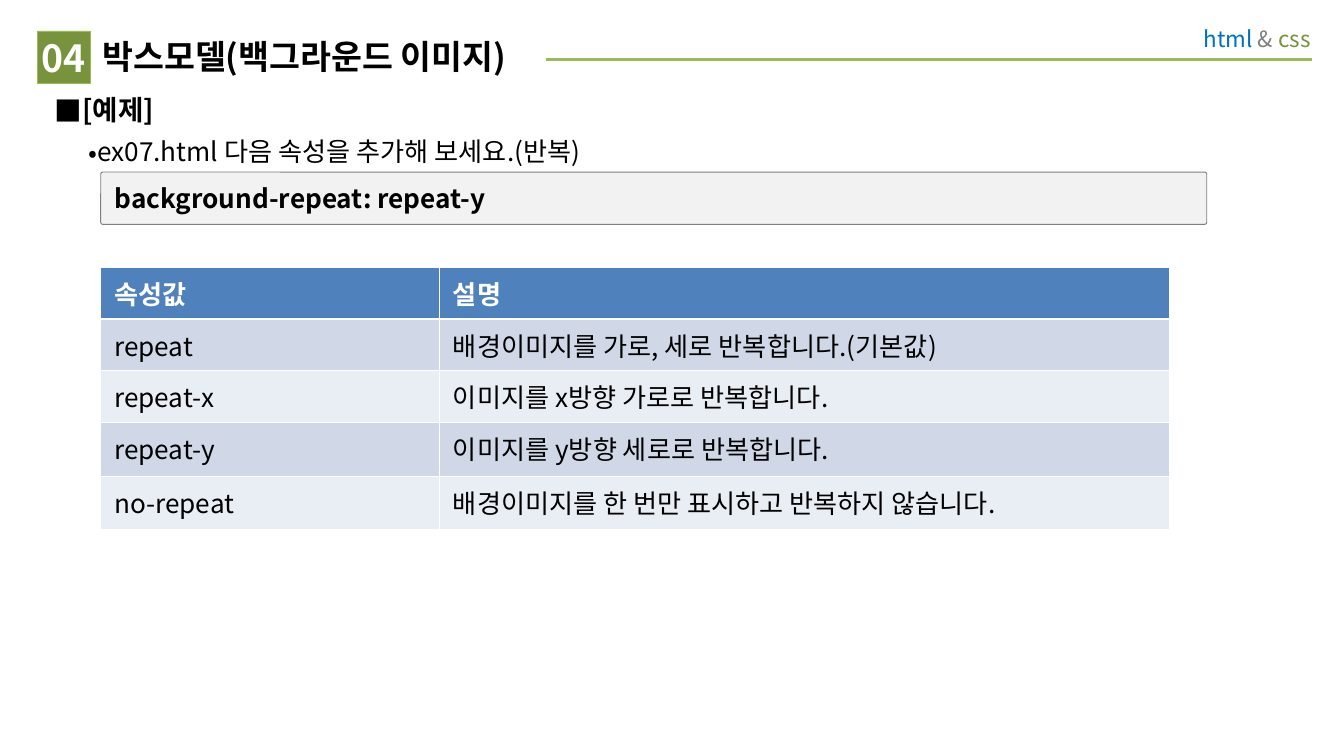
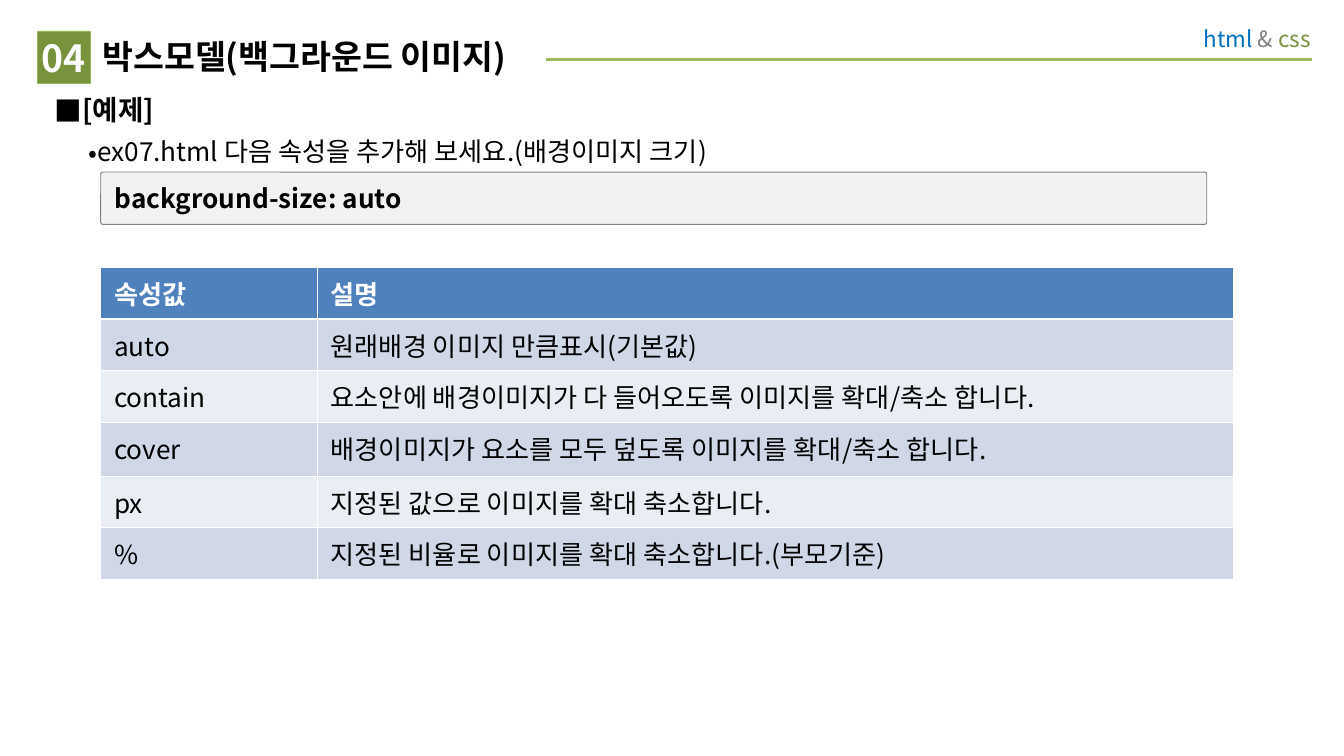
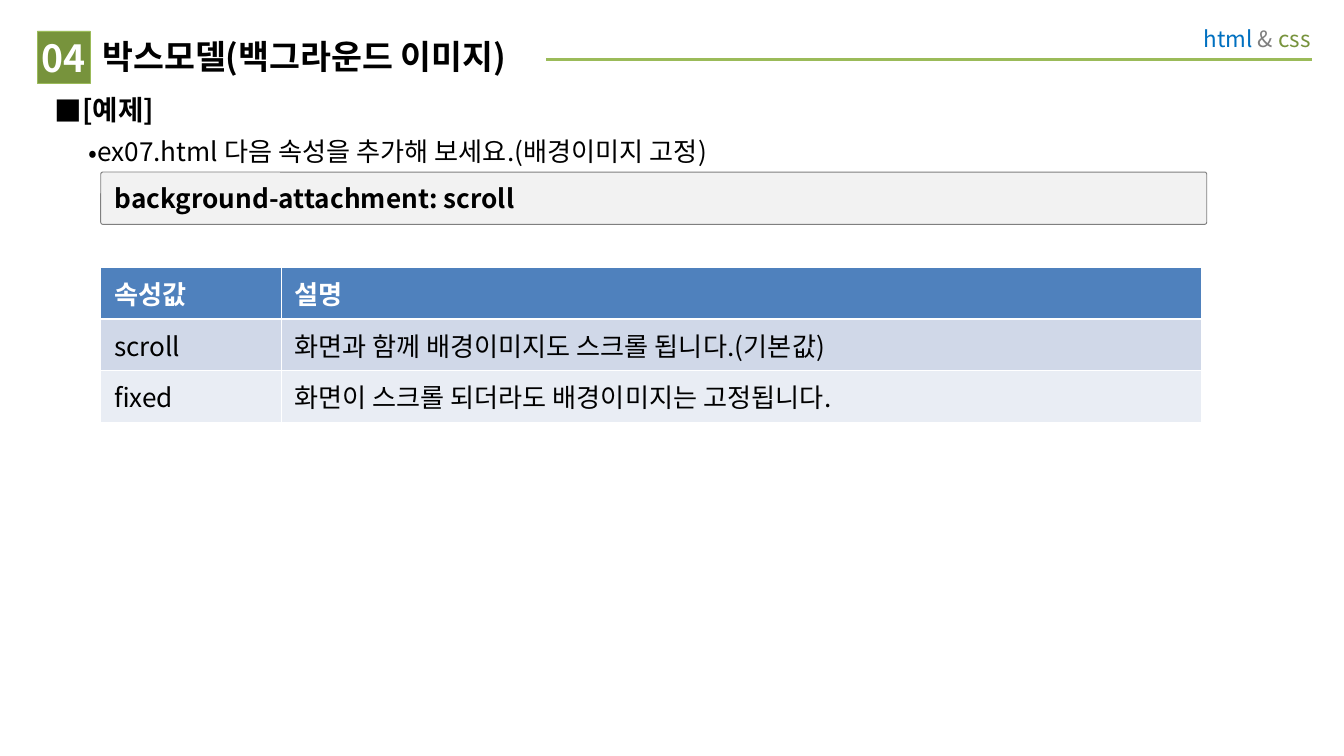
import dataclasses

import pptx
import pptx.dml.color
import pptx.enum.shapes
import pptx.enum.text
import pptx.oxml
import pptx.oxml.ns
import pptx.util

Pt = pptx.util.Pt
qn = pptx.oxml.ns.qn
Align = pptx.enum.text.PP_ALIGN
Anchor = pptx.enum.text.MSO_ANCHOR
Shape = pptx.enum.shapes.MSO_SHAPE


@dataclasses.dataclass(frozen=True)
class Theme:
    font: str = "Noto Sans CJK KR"
    black: str = "000000"
    white: str = "FFFFFF"
    green: str = "77933C"
    lime: str = "9BBB59"
    blue: str = "0070C0"
    gray: str = "7F7F7F"
    pale: str = "F2F2F2"
    top: str = "4F81BD"
    bands: tuple = ("D0D8E8", "E9EDF4")
    tag: float = 12
    body: float = 14
    head: float = 14.8
    title: float = 18
    badge: float = 20


THEME = Theme()

SLIDES = [
    dict(
        note="반복",
        code="background-repeat: repeat-y",
        cols=(181.5, 391),
        rows=[
            ("repeat", "배경이미지를 가로, 세로 반복합니다.(기본값)"),
            ("repeat-x", "이미지를 x방향 가로로 반복합니다."),
            ("repeat-y", "이미지를 y방향 세로로 반복합니다."),
            ("no-repeat", "배경이미지를 한 번만 표시하고 반복하지 않습니다."),
        ],
    ),
    dict(
        note="배경이미지 크기",
        code="background-size: auto",
        cols=(116, 490.5),
        rows=[
            ("auto", "원래배경 이미지 만큼표시(기본값)"),
            ("contain", "요소안에 배경이미지가 다 들어오도록 이미지를 확대/축소 합니다."),
            ("cover", "배경이미지가 요소를 모두 덮도록 이미지를 확대/축소 합니다."),
            ("px", "지정된 값으로 이미지를 확대 축소합니다."),
            ("%", "지정된 비율로 이미지를 확대 축소합니다.(부모기준)"),
        ],
    ),
    dict(
        note="배경이미지 고정",
        code="background-attachment: scroll",
        cols=(96.5, 493),
        rows=[
            ("scroll", "화면과 함께 배경이미지도 스크롤 됩니다.(기본값)"),
            ("fixed", "화면이 스크롤 되더라도 배경이미지는 고정됩니다."),
        ],
    ),
]


def rgb(color):
    return pptx.dml.color.RGBColor.from_string(color)


def xml(tag, body="", **attrs):
    pairs = "".join(f' {key}="{value}"' for key, value in attrs.items())
    return pptx.oxml.parse_xml(
        f"<a:{tag} {pptx.oxml.ns.nsdecls('a')}{pairs}>{body}</a:{tag}>"
    )


def paint(fill, color):
    fill.solid()
    fill.fore_color.rgb = rgb(color)


def write(frame, text, size=THEME.body, color=THEME.black, bold=False,
          align=Align.LEFT, anchor=Anchor.TOP, pad=(7.2, 3.6, 7.2, 3.6), mark=None):
    frame.auto_size = pptx.enum.text.MSO_AUTO_SIZE.NONE
    frame.word_wrap = True
    frame.vertical_anchor = anchor
    frame.margin_left, frame.margin_top, frame.margin_right, frame.margin_bottom = map(Pt, pad)
    line = frame.paragraphs[0]
    line.alignment = align
    if mark:
        bullet(line, *mark)
    runs = [(text, color)] if isinstance(text, str) else text
    for part, tint in runs:
        run = line.add_run()
        run.text = part
        style(run.font, size, tint, bold)


def style(font, size, color, bold):
    font.name = THEME.font
    font.size = Pt(size)
    font.bold = bold
    font.color.rgb = rgb(color)
    font._element.find(qn("a:latin")).addnext(xml("ea", typeface=THEME.font))


def bullet(line, char, left, hang):
    props = line._p.get_or_add_pPr()
    props.set("marL", str(Pt(left)))
    props.set("indent", str(Pt(-hang)))
    props.append(xml("buClr", f'<a:srgbClr val="{THEME.black}"/>'))
    props.append(xml("buFont", typeface=THEME.font))
    props.append(xml("buChar", char=char))


def label(slide, box, text, **form):
    shape = slide.shapes.add_textbox(*map(Pt, box))
    write(shape.text_frame, text, **form)


def block(slide, kind, box, fill, edge, width, text, **form):
    shape = slide.shapes.add_shape(kind, *map(Pt, box))
    shape.shadow.inherit = False
    paint(shape.fill, fill)
    shape.line.color.rgb = rgb(edge)
    shape.line.width = Pt(width)
    write(shape.text_frame, text, bold=True, anchor=Anchor.MIDDLE, **form)
    return shape


def rule(slide, start, end, y):
    line = slide.shapes.add_connector(
        pptx.enum.shapes.MSO_CONNECTOR.STRAIGHT, Pt(start), Pt(y), Pt(end), Pt(y)
    )
    line.line.color.rgb = rgb(THEME.lime)
    line.line.width = Pt(1.5)
    line._element.spPr.append(xml("effectLst"))


def header(slide):
    rule(slide, 51, 703, 31.7)
    label(slide, (598.3, 7.9, 110.9, 25.9),
          [("html ", THEME.blue), ("& ", THEME.gray), ("css", THEME.green)],
          size=THEME.tag, align=Align.RIGHT, pad=(7.2, 5.8, 7.2, 5.8))
    title = slide.shapes.title
    title.element.getparent().append(title.element)
    title.left, title.top, title.width, title.height = map(Pt, (49, 16.5, 243.4, 28))
    paint(title.fill, THEME.white)
    write(title.text_frame, "박스모델(백그라운드 이미지)", size=THEME.title,
          bold=True, pad=(5.8, 2.9, 0, 2.9))
    block(slide, Shape.RECTANGLE, (20, 16.6, 28.3, 28.3), THEME.green, THEME.lime, 0.25,
          "04", size=THEME.badge, color=THEME.white, align=Align.CENTER, pad=(0, 0, 0, 0))


def edge(cell, row):
    widths = dict(
        lnL=0.45,
        lnR=0.45,
        lnT=1.47 if row == 1 else 0.45,
        lnB=1.47 if row == 0 else 0.45,
    )
    props = cell._tc.get_or_add_tcPr()
    for tag, width in widths.items():
        body = f'<a:solidFill><a:srgbClr val="{THEME.white}"/></a:solidFill>'
        props.append(xml(tag, body, w=Pt(width)))


def grid(slide, cols, rows):
    rows = [("속성값", "설명"), *rows]
    high = [26, 26, 27.4, 28.8, 28.8 if len(rows) == 5 else 24, 24][:len(rows)]
    frame = slide.shapes.add_table(
        len(rows), len(cols), Pt(54), Pt(143.3), Pt(sum(cols)), Pt(sum(high))
    )
    table = frame.table
    for col, width in zip(table.columns, cols):
        col.width = Pt(width)
    for i, texts in enumerate(rows):
        table.rows[i].height = Pt(high[i])
        first = i == 0
        for j, text in enumerate(texts):
            cell = table.cell(i, j)
            edge(cell, i)
            paint(cell.fill, THEME.top if first else THEME.bands[(i - 1) % 2])
            line = cell.text_frame.paragraphs[0]
            run = line.add_run()
            run.text = text
            style(run.font, THEME.body, THEME.white if first else THEME.black, first)


def build(deck, note, code, cols, rows):
    slide = deck.slides.add_slide(deck.slide_layouts[5])
    header(slide)
    label(slide, (22.3, 46, 680.4, 26), "[예제]", size=THEME.head, bold=True,
          mark=("■", 14.4, 14.4))
    label(slide, (22.3, 69, 680.4, 31), f"ex07.html 다음 속성을 추가해 보세요.({note})",
          mark=("•", 20.9, 2.9))
    panel = block(slide, Shape.ROUNDED_RECTANGLE, (54, 92.2, 592.5, 28), THEME.pale,
                  THEME.gray, 0.5, code)
    panel.adjustments[0] = 0.04
    grid(slide, cols, rows)


def main():
    deck = pptx.Presentation()
    deck.slide_width, deck.slide_height = Pt(720), Pt(405)
    for data in SLIDES:
        build(deck, **data)
    deck.save("out.pptx")


if __name__ == "__main__":
    main()
